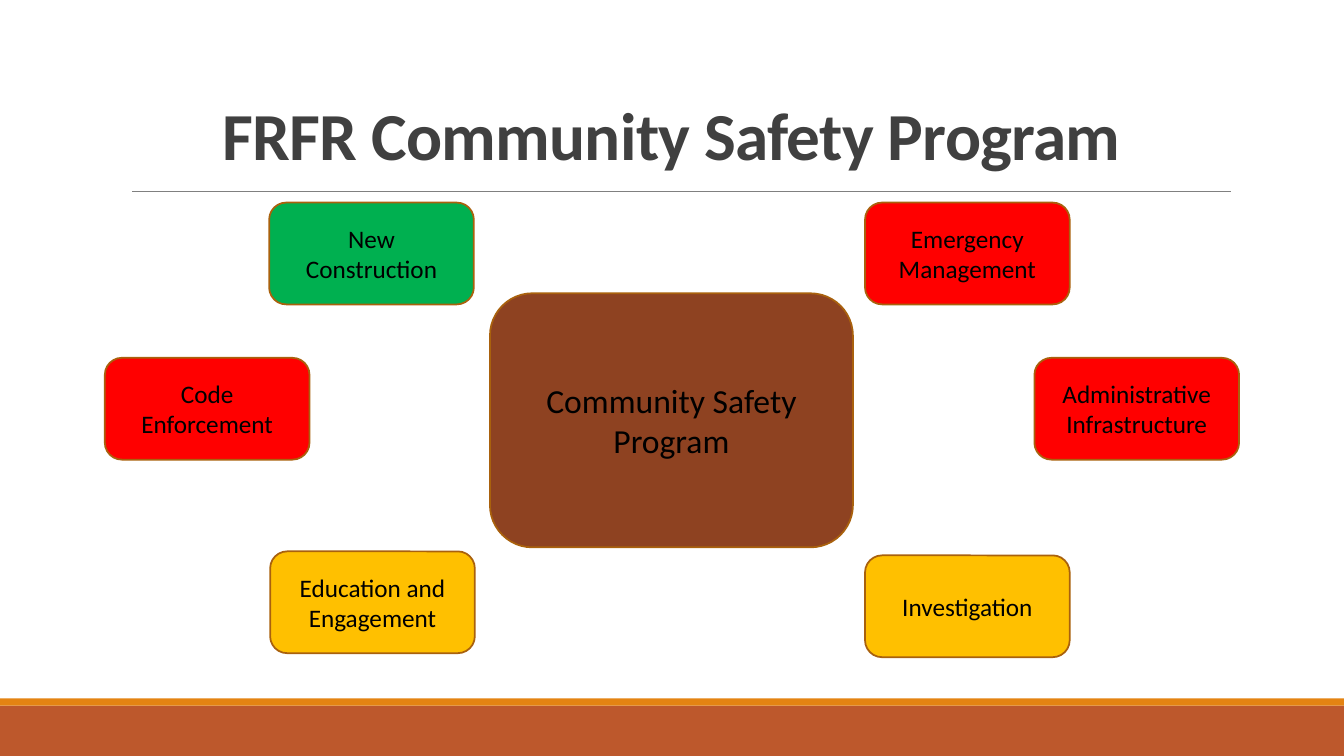
from dataclasses import dataclass

from lxml.etree import SubElement
from pptx import Presentation
from pptx.dml.color import RGBColor
from pptx.enum.shapes import MSO_CONNECTOR as Connector, MSO_SHAPE as Shape
from pptx.enum.text import MSO_ANCHOR as Anchor, PP_ALIGN as Align
from pptx.oxml.ns import qn
from pptx.slide import Slide
from pptx.util import Inches, Pt

FONT = "Calibri"
BLACK, GREY, CHARCOAL = "000000", "808080", "404040"
RUST, ORANGE, BROWN, BRONZE = "BD582C", "E48312", "8E4221", "A9610D"
GREEN, RED, AMBER = "00B050", "FF0000", "FFC000"


@dataclass
class Box:
    text: str
    left: float
    top: float
    fill: str
    width: float = 2.03
    height: float = 1.01
    size: int = 18


@dataclass
class Band:
    top: float
    height: float
    fill: str


BANDS = [Band(7, 0.5, RUST), Band(6.93, 0.07, ORANGE)]
BOXES = [
    Box("Community Safety Program", 4.86, 2.91, BROWN, 3.6, 2.52, 24),
    Box("New Construction", 2.67, 2.01, GREEN),
    Box("Emergency Management", 8.58, 2.01, RED),
    Box("Code Enforcement", 1.04, 3.55, RED),
    Box("Administrative Infrastructure", 10.26, 3.55, RED),
    Box("Education and Engagement", 2.68, 5.47, AMBER),
    Box("Investigation", 8.58, 5.51, AMBER),
]


def color(value: str) -> RGBColor:
    return RGBColor.from_string(value)


def add_band(page: Slide, band: Band) -> None:
    shape = page.shapes.add_shape(
        Shape.RECTANGLE, 0, Inches(band.top), Inches(13.33), Inches(band.height))
    shape.shadow.inherit = False
    shape.fill.solid()
    shape.fill.fore_color.rgb = color(band.fill)
    shape.line.fill.background()


def add_rule(page: Slide) -> None:
    """Draw the thin line under the title."""
    rule = page.shapes.add_connector(
        Connector.STRAIGHT, Inches(1.31), Inches(1.9), Inches(12.21), Inches(1.9))
    rule.line.color.rgb = color(GREY)
    rule.line.width = Pt(0.5)
    SubElement(rule._element.spPr, qn("a:effectLst"))


def write_title(page: Slide, text: str) -> None:
    title = page.shapes.title
    title.left, title.top = Inches(0.91), Inches(0.33)
    title.width, title.height = Inches(11.5), Inches(1.45)
    title.text_frame.text = text
    title.text_frame.vertical_anchor = Anchor.BOTTOM
    para = title.text_frame.paragraphs[0]
    para.alignment = Align.CENTER
    para.line_spacing = 0.85
    para.font.name = FONT
    para.font.size = Pt(48)
    para.font.bold = True
    para.font.color.rgb = color(CHARCOAL)
    para.runs[0]._r.get_or_add_rPr().set("spc", "-50")


def add_box(page: Slide, box: Box) -> None:
    shape = page.shapes.add_shape(
        Shape.ROUNDED_RECTANGLE, Inches(box.left), Inches(box.top),
        Inches(box.width), Inches(box.height))
    shape.shadow.inherit = False
    shape.fill.solid()
    shape.fill.fore_color.rgb = color(box.fill)
    shape.line.color.rgb = color(BRONZE)
    shape.line.width = Pt(1.25)
    shape.text_frame.text = box.text
    shape.text_frame.word_wrap = True
    shape.text_frame.vertical_anchor = Anchor.MIDDLE
    para = shape.text_frame.paragraphs[0]
    para.alignment = Align.CENTER
    para.font.name = FONT
    para.font.size = Pt(box.size)
    para.font.color.rgb = color(BLACK)


def main() -> None:
    deck = Presentation()
    deck.slide_width, deck.slide_height = Inches(13.33), Inches(7.5)
    page = deck.slides.add_slide(deck.slide_layouts.get_by_name("Title Only"))
    for band in BANDS:
        add_band(page, band)
    add_rule(page)
    write_title(page, "FRFR Community Safety Program")
    for box in BOXES:
        add_box(page, box)
    deck.save("out.pptx")


if __name__ == "__main__":
    main()
